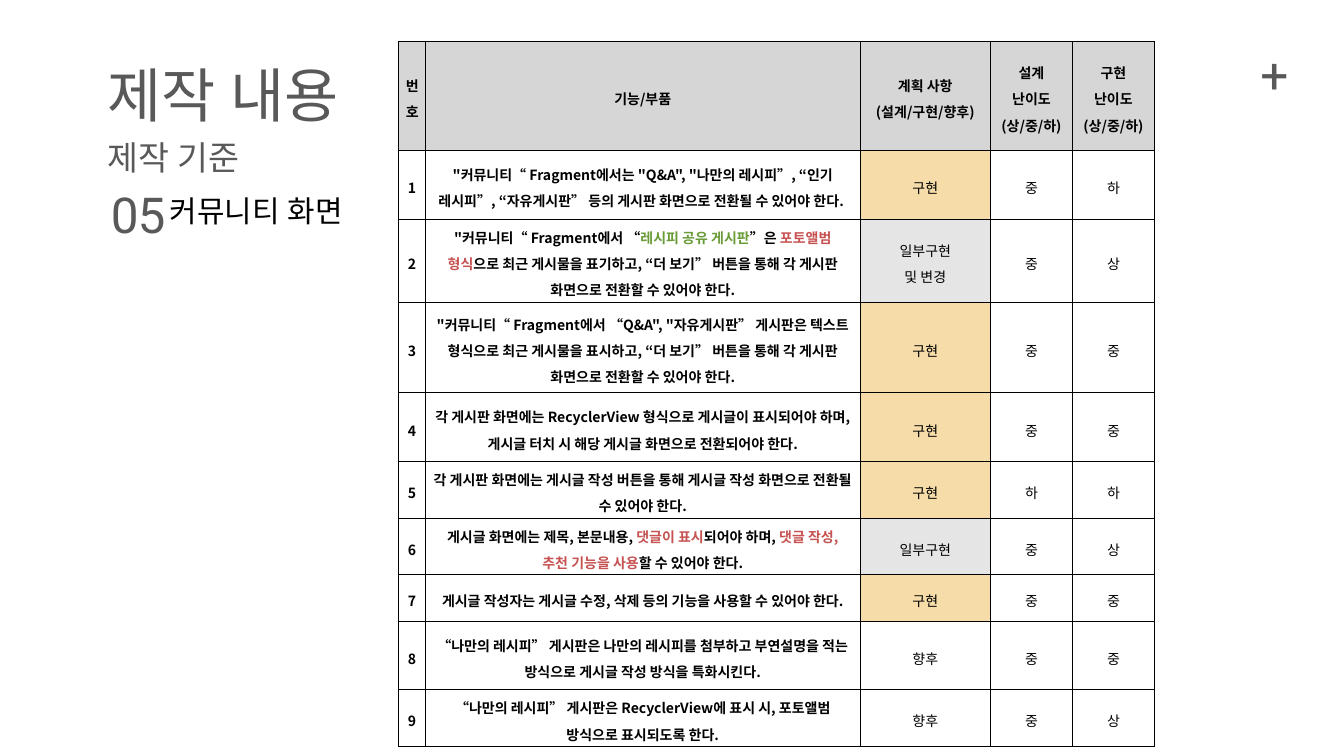
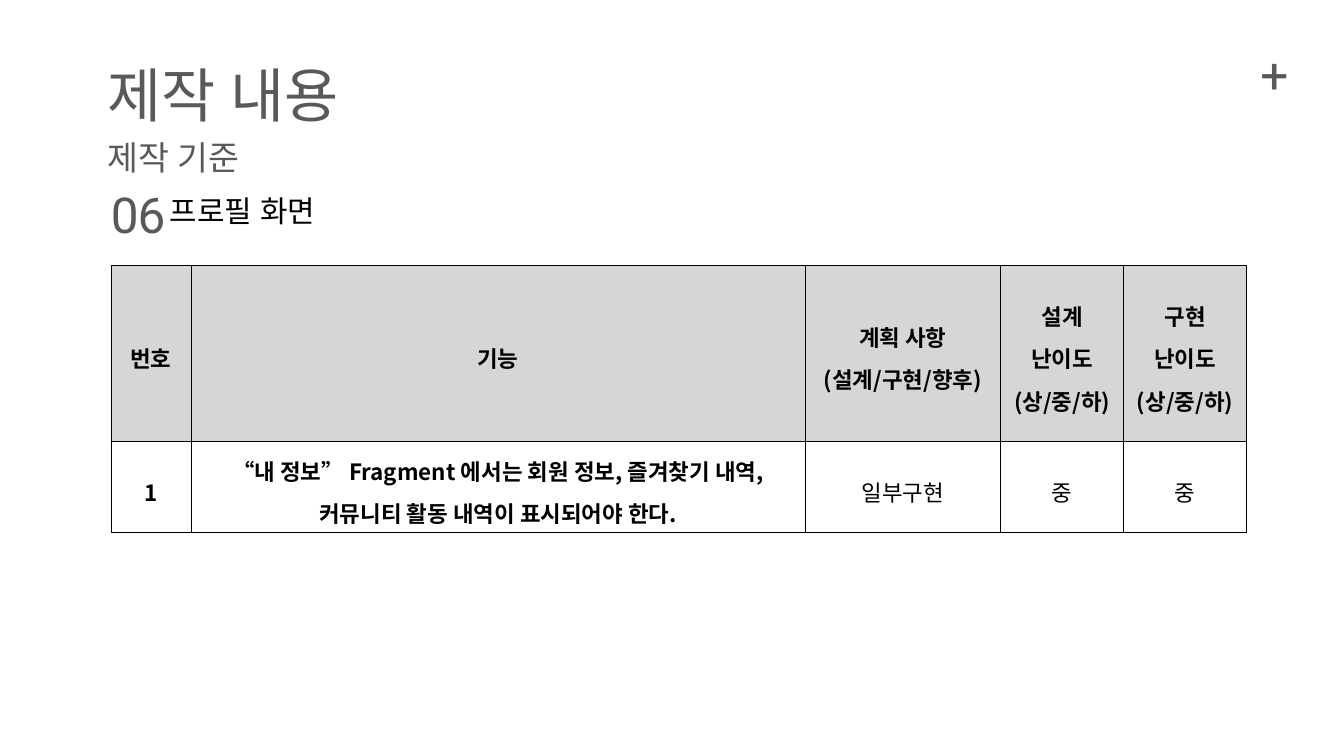
from lxml import etree
from pptx import Presentation
from pptx.dml.color import RGBColor
from pptx.enum.text import MSO_ANCHOR, MSO_AUTO_SIZE, PP_ALIGN
from pptx.oxml.ns import qn
from pptx.util import Inches, Pt

CENTER, JUSTIFY = PP_ALIGN.CENTER, PP_ALIGN.JUSTIFY
TOP, MIDDLE = MSO_ANCHOR.TOP, MSO_ANCHOR.MIDDLE
NO_AUTOFIT = MSO_AUTO_SIZE.NONE
TITLE_ONLY = 5

COLORS = {
    "heading": "595959",
    "text": "000000",
    "header": "D6D6D6",
    "done": "F5DCA8",
    "partial": "E5E5E5",
    "shared": "699B37",
    "changed": "C75252",
}
HEADING_FONT, LABEL_FONT, TABLE_FONT = "Roboto", "Lato", "Noto Sans CJK KR"

TITLE = "제작 내용"
SUBTITLE = "제작 기준"
PLAN_HEADERS = ["계획 사항\n(설계/구현/향후)", "설계 난이도\n(상/중/하)", "구현 난이도\n(상/중/하)"]
PLAN_FILLS = {"구현": "done", "일부구현": "partial", "일부구현\n및 변경": "partial"}

COMMUNITY_FEATURES = [
    ("\"커뮤니티“ Fragment에서는 \"Q&A\", \"나만의 레시피”, “인기 레시피”, “자유게시판” 등의 게시판 화면으로 전환될 수 있어야 한다. ",
     "구현", "중", "하"),
    ([("\"커뮤니티“ Fragment에서 “", "text"),
      ("레시피 공유 게시판", "shared"),
      ("”은 ", "text"),
      ("포토앨범 형식", "changed"),
      ("으로 최근 게시물을 표기하고, “더 보기” 버튼을 통해 각 게시판 화면으로 전환할 수 있어야 한다.", "text")],
     "일부구현\n및 변경", "중", "상"),
    ("\"커뮤니티“ Fragment에서 “Q&A\", \"자유게시판” 게시판은 텍스트 형식으로 최근 게시물을 표시하고, “더 보기” 버튼을 통해 각 게시판 화면으로 전환할 수 있어야 한다.",
     "구현", "중", "중"),
    ("각 게시판 화면에는 RecyclerView 형식으로 게시글이 표시되어야 하며, 게시글 터치 시 해당 게시글 화면으로 전환되어야 한다.",
     "구현", "중", "중"),
    ("각 게시판 화면에는 게시글 작성 버튼을 통해 게시글 작성 화면으로 전환될 수 있어야 한다.",
     "구현", "하", "하"),
    ([("게시글 화면에는 제목, 본문내용, ", "text"),
      ("댓글이 표시", "changed"),
      ("되어야 하며, ", "text"),
      ("댓글 작성, 추천 기능을 사용", "changed"),
      ("할 수 있어야 한다.", "text")],
     "일부구현", "중", "상"),
    ("게시글 작성자는 게시글 수정, 삭제 등의 기능을 사용할 수 있어야 한다.",
     "구현", "중", "중"),
    ("“나만의 레시피” 게시판은 나만의 레시피를 첨부하고 부연설명을 적는 방식으로 게시글 작성 방식을 특화시킨다.",
     "향후", "중", "중"),
    ("“나만의 레시피” 게시판은 RecyclerView에 표시 시, 포토앨범 방식으로 표시되도록 한다.",
     "향후", "중", "상"),
]
PROFILE_FEATURES = [
    ("“내 정보” Fragment 에서는 회원 정보, 즐겨찾기 내역, 커뮤니티 활동 내역이 표시되어야 한다.",
     "일부구현", "중", "중"),
]

SCREENS = [
    {
        "number": "05", "name": "커뮤니티 화면", "feature_header": "기능/부품",
        "features": COMMUNITY_FEATURES, "plan_fills": PLAN_FILLS,
        "origin": (5.93, 0.61), "size": 15, "margins": (0.11, 0.03),
        "columns": [0.4, 6.47, 1.94, 1.22, 1.22],
        "rows": [0.86, 1.02, 1.02, 1.35, 1.02, 0.69, 0.69, 0.69, 1.02, 0.69],
    },
    {
        "number": "06", "name": "프로필 화면", "feature_header": "기능",
        "features": PROFILE_FEATURES, "plan_fills": {},
        "origin": (1.65, 3.95), "size": 24, "margins": (0.17, 0.05),
        "columns": [1.19, 9.14, 2.91, 1.83, 1.83],
        "rows": [1.76, 1.1],
    },
]


def add_run(paragraph, text, font_name, size, color, bold=False):
    run = paragraph.add_run()
    run.text = text
    run.font.name = font_name
    run.font.size = Pt(size)
    run.font.bold = bold
    run.font.color.rgb = RGBColor.from_string(COLORS[color])
    east_asian = etree.Element(qn("a:ea"), typeface=font_name)
    run.font._element.find(qn("a:latin")).addnext(east_asian)
    return run


def write_heading(shape, text, font_name, size, color="heading", align=JUSTIFY):
    frame = shape.text_frame
    frame.word_wrap = True
    frame.auto_size = NO_AUTOFIT
    frame.vertical_anchor = TOP
    paragraph = frame.paragraphs[0]
    paragraph.alignment = align
    paragraph.line_spacing = 1.0
    return add_run(paragraph, text, font_name, size, color)


def add_label(slide, box, *style, **options):
    label = slide.shapes.add_textbox(*map(Inches, box))
    return write_heading(label, *style, **options)


def add_borders(cell):
    properties = cell._tc.get_or_add_tcPr()
    for side in ("lnL", "lnR", "lnT", "lnB"):
        line = etree.SubElement(properties, qn(f"a:{side}"), w=str(Pt(0.28)))
        fill = etree.SubElement(line, qn("a:solidFill"))
        etree.SubElement(fill, qn("a:srgbClr"), val=COLORS["text"])


def write_cell(cell, content, screen, bold, fill):
    add_borders(cell)
    if fill:
        cell.fill.solid()
        cell.fill.fore_color.rgb = RGBColor.from_string(COLORS[fill])
    else:
        cell.fill.background()
    across, down = map(Inches, screen["margins"])
    cell.margin_left = cell.margin_right = across
    cell.margin_top = cell.margin_bottom = down
    cell.vertical_anchor = MIDDLE
    if isinstance(content, str):
        lines = [[(line, "text")] for line in content.split("\n")]
    else:
        lines = [content]
    frame = cell.text_frame
    for index, parts in enumerate(lines):
        paragraph = frame.add_paragraph() if index else frame.paragraphs[0]
        paragraph.alignment = CENTER
        paragraph.line_spacing = 1.3
        for text, color in parts:
            add_run(paragraph, text, TABLE_FONT, screen["size"], color, bold)


def add_feature_table(slide, screen):
    columns, rows = screen["columns"], screen["rows"]
    box = (*screen["origin"], sum(columns), sum(rows))
    table = slide.shapes.add_table(len(rows), len(columns), *map(Inches, box)).table
    for column, width in zip(table.columns, columns):
        column.width = Inches(width)
    for row, height in zip(table.rows, rows):
        row.height = Inches(height)

    for index, header in enumerate(["번호", screen["feature_header"], *PLAN_HEADERS]):
        write_cell(table.cell(0, index), header, screen, True, "header")
    for number, feature in enumerate(screen["features"], 1):
        for index, content in enumerate([str(number), *feature]):
            fill = screen["plan_fills"].get(content) if index == 2 else None
            write_cell(table.cell(number, index), content, screen, index < 2, fill)


def add_screen(deck, screen):
    slide = deck.slides.add_slide(deck.slide_layouts[TITLE_ONLY])
    title = slide.shapes.title
    title.left, title.top, title.width, title.height = map(Inches, (1.5, 0.82, 11.65, 1.68))
    write_heading(title, TITLE, HEADING_FONT, 63)
    add_label(slide, (18.56, 0.6, 0.81, 1.37), "+", HEADING_FONT, 53, align=CENTER)
    add_label(slide, (1.5, 1.99, 9.76, 0.87), SUBTITLE, LABEL_FONT, 36)
    number = add_label(slide, (1.55, 2.69, 1.42, 1.36), screen["number"], HEADING_FONT, 53)
    number.font._element.set("spc", "-100")
    add_label(slide, (2.43, 2.82, 6.73, 1.36), screen["name"], LABEL_FONT, 32, color="text")
    add_feature_table(slide, screen)


def main():
    deck = Presentation()
    deck.slide_width, deck.slide_height = Inches(20), Inches(11.25)
    for screen in SCREENS:
        add_screen(deck, screen)
    deck.save("out.pptx")


if __name__ == "__main__":
    main()
